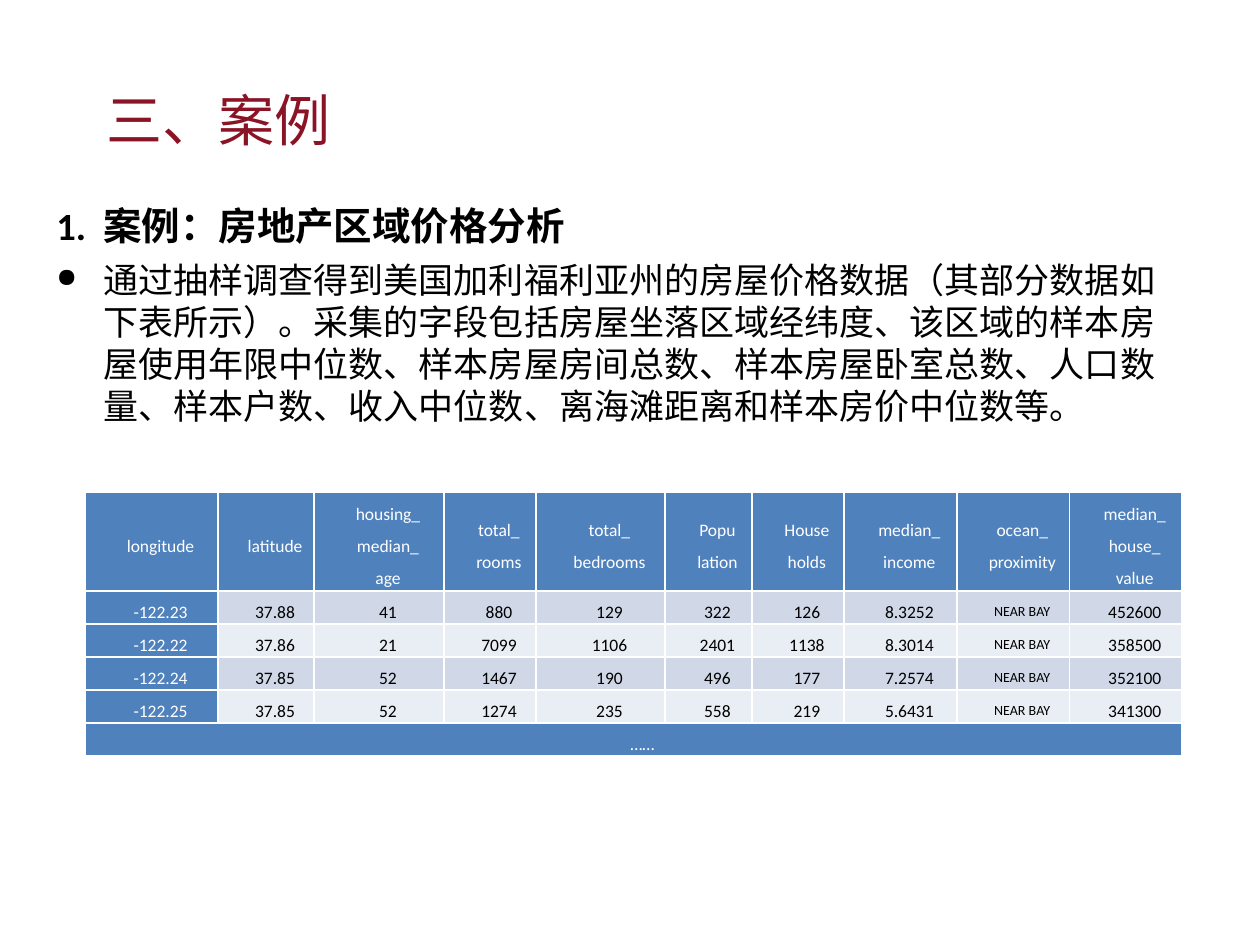
"""Build the housing price case slide with its sample data table."""
from dataclasses import dataclass

from lxml.etree import SubElement
from pptx import Presentation
from pptx.dml.color import RGBColor as Rgb
from pptx.enum.text import MSO_ANCHOR as Anchor, PP_ALIGN as Align
from pptx.oxml.ns import qn
from pptx.util import Emu, Pt

TITLE = "三、案例"
HEADING = "1.\t案例：房地产区域价格分析"
SUMMARY = (
    "通过抽样调查得到美国加利福利亚州的房屋价格数据（其部分数据如下表所示）。"
    "采集的字段包括房屋坐落区域经纬度、该区域的样本房屋使用年限中位数、"
    "样本房屋房间总数、样本房屋卧室总数、人口数量、样本户数、收入中位数、"
    "离海滩距离和样本房价中位数等。"
)
FIELDS = [
    ("longitude", 133), ("latitude", 96), ("housing_\nmedian_\nage", 130),
    ("total_\nrooms", 92), ("total_\nbedrooms", 129), ("Popu\nlation", 87),
    ("House\nholds", 92), ("median_\nincome", 113), ("ocean_\nproximity", 113),
    ("median_\nhouse_\nvalue", 112),
]
SAMPLES = [
    ("-122.23", "37.88", "41", "880", "129", "322", "126", "8.3252", "NEAR BAY", "452600"),
    ("-122.22", "37.86", "21", "7099", "1106", "2401", "1138", "8.3014", "NEAR BAY", "358500"),
    ("-122.24", "37.85", "52", "1467", "190", "496", "177", "7.2574", "NEAR BAY", "352100"),
    ("-122.25", "37.85", "52", "1274", "235", "558", "219", "5.6431", "NEAR BAY", "341300"),
]
MORE = "……"
PROXIMITY = 8

SLIDE = (1260, 945)
TITLE_BOX = (94, 55, 1063, 129)
BODY_BOX = (44, 205, 1150, 236)
TABLE_AT = (85, 492)
HEADER_HEIGHT, ROW_HEIGHT = 99, 33
HANGING, CELL_INDENT = 47, 18


@dataclass(frozen=True)
class Theme:
    title_font: str = "Noto Sans CJK SC"
    font: str = "Calibri"
    title: str = "8A1425"
    ink: str = "000000"
    white: str = "FFFFFF"
    accent: str = "4F81BD"
    bands: tuple = ("D0D8E8", "E9EDF4")
    title_size: int = 32
    heading_size: int = 22
    body_size: int = 20
    cell_size: int = 10
    small_size: int = 8


THEME = Theme()


def px(length):
    return Emu(length * 914400 // 126)


def style(paragraph, size, color, font=THEME.font, bold=False):
    paragraph.font.name = font
    paragraph.font.size = Pt(size)
    paragraph.font.bold = bold
    paragraph.font.color.rgb = Rgb.from_string(color)


def hang(paragraph):
    props = paragraph._p.get_or_add_pPr()
    props.set("marL", str(px(HANGING)))
    props.set("indent", str(-px(HANGING)))
    return props


def add_borders(cell):
    props = cell._tc.get_or_add_tcPr()
    for position, side in enumerate(("lnL", "lnR", "lnT", "lnB")):
        line = SubElement(props, qn(f"a:{side}"), w=str(Pt(1)))
        fill = SubElement(line, qn("a:solidFill"))
        SubElement(fill, qn("a:srgbClr"), val=THEME.white)
        props.insert(position, line)


def fill_cell(cell, text, fill, color, size=THEME.cell_size):
    cell.fill.solid()
    cell.fill.fore_color.rgb = Rgb.from_string(fill)
    add_borders(cell)
    cell.margin_left = cell.margin_right = cell.margin_top = cell.margin_bottom = 0
    cell.vertical_anchor = Anchor.MIDDLE
    cell.text_frame.text = text
    for paragraph in cell.text_frame.paragraphs:
        paragraph._p.get_or_add_pPr().set("indent", str(px(CELL_INDENT)))
        paragraph.alignment = Align.CENTER
        paragraph.line_spacing = 1.5
        style(paragraph, size, color)


def add_title(slide):
    title = slide.shapes.title
    title.left, title.top, title.width, title.height = map(px, TITLE_BOX)
    title.text_frame.text = TITLE
    title.text_frame.vertical_anchor = Anchor.MIDDLE
    heading = title.text_frame.paragraphs[0]
    heading.alignment = Align.LEFT
    style(heading, THEME.title_size, THEME.title, THEME.title_font)


def add_body(slide):
    body = slide.shapes.add_textbox(*map(px, BODY_BOX)).text_frame
    body.word_wrap = True
    heading = body.paragraphs[0]
    heading.text = HEADING
    heading.line_spacing = 0.8
    tabs = SubElement(hang(heading), qn("a:tabLst"))
    SubElement(tabs, qn("a:tab"), pos=str(px(HANGING)), algn="l")
    style(heading, THEME.heading_size, THEME.ink, bold=True)

    summary = body.add_paragraph()
    summary.text = SUMMARY
    summary.space_before = Pt(6)
    props = hang(summary)
    SubElement(props, qn("a:buSzPct"), val="75000")
    SubElement(props, qn("a:buChar"), char="●")
    style(summary, THEME.body_size, THEME.ink)


def add_samples(slide):
    heights = [HEADER_HEIGHT] + [ROW_HEIGHT] * (len(SAMPLES) + 1)
    widths = [width for _, width in FIELDS]
    table = slide.shapes.add_table(
        len(heights), len(widths), *map(px, (*TABLE_AT, sum(widths), sum(heights)))
    ).table
    for row, height in zip(table.rows, heights):
        row.height = px(height)
    for column, (field, width) in enumerate(FIELDS):
        table.columns[column].width = px(width)
        fill_cell(table.cell(0, column), field, THEME.accent, THEME.white)
    for row, sample in enumerate(SAMPLES, 1):
        band = THEME.bands[(row - 1) % 2]
        for column, value in enumerate(sample):
            fill, color = (band, THEME.ink) if column else (THEME.accent, THEME.white)
            size = THEME.small_size if column == PROXIMITY else THEME.cell_size
            fill_cell(table.cell(row, column), value, fill, color, size)
    last = len(heights) - 1
    table.cell(last, 0).merge(table.cell(last, len(widths) - 1))
    fill_cell(table.cell(last, 0), MORE, THEME.accent, THEME.white)


def main():
    deck = Presentation()
    deck.slide_width, deck.slide_height = map(px, SLIDE)
    slide = deck.slides.add_slide(deck.slide_layouts[5])
    add_title(slide)
    add_body(slide)
    add_samples(slide)
    deck.save("out.pptx")


if __name__ == "__main__":
    main()
